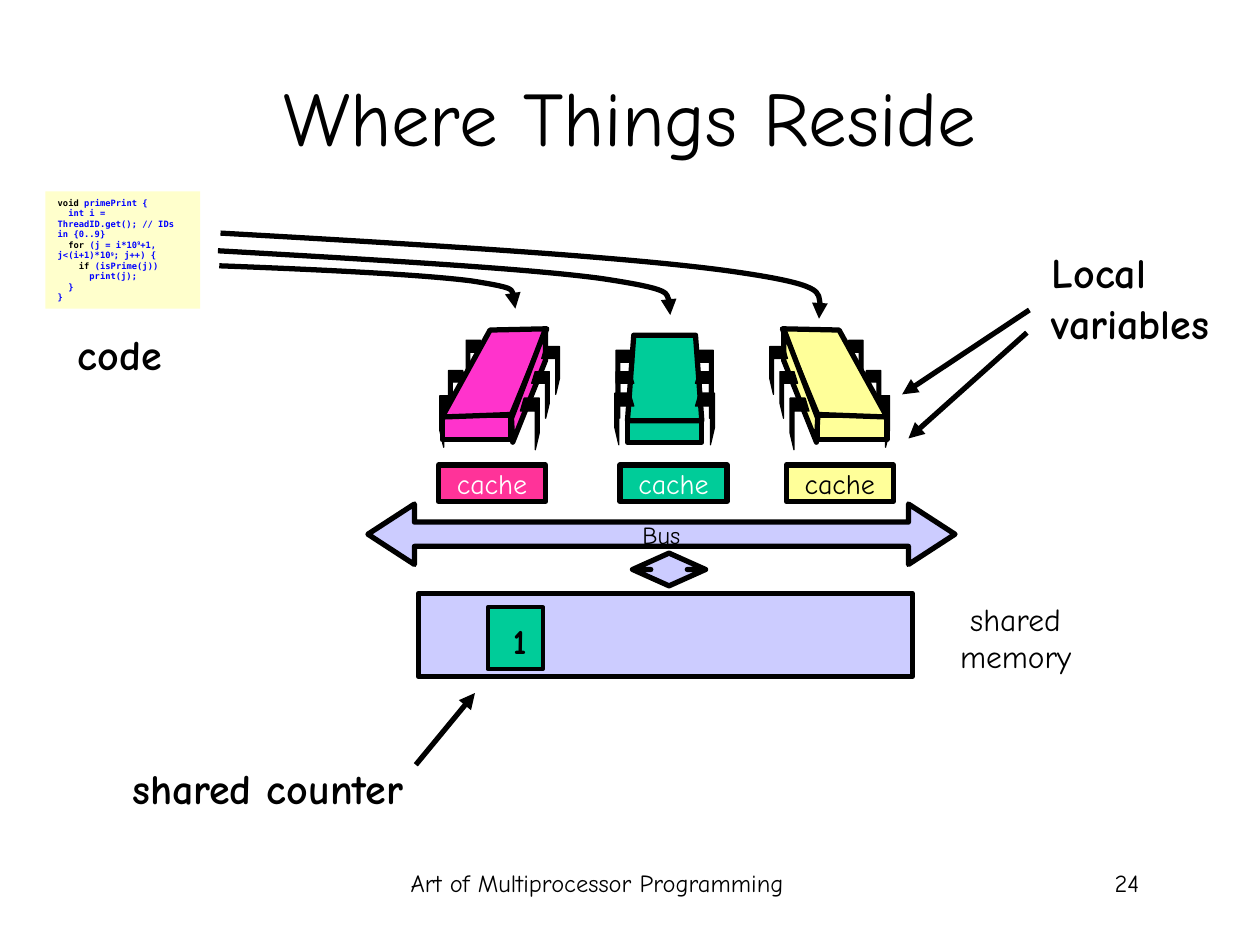
"""Build the slide "Where Things Reside": code, caches, bus and shared memory."""
from lxml.etree import SubElement
from pptx import Presentation
from pptx.dml.color import RGBColor as RGB
from pptx.enum.shapes import MSO_CONNECTOR as CONN, MSO_SHAPE as SHAPE
from pptx.enum.text import MSO_ANCHOR as ANCHOR, PP_ALIGN as ALIGN
from pptx.oxml.ns import qn
from pptx.util import Inches, Pt

THEME = {
    "font": "Comic Neue", "mono": "DejaVu Sans Mono",
    "title": 44, "label": 24, "value": 20, "memory": 18, "cache": 16, "small": 14, "code": 5,
    "black": "000000", "white": "FFFFFF", "blue": "0000FF", "paper": "FFFFCC",
    "pink": "FF33CC", "rose": "FF3399", "green": "00CC99", "yellow": "FFFF99", "lilac": "CCCCFF",
    "thick": 3, "medium": 2.25, "thin": 0.75,
}

prs = Presentation()
prs.slide_width, prs.slide_height = Inches(10), Inches(7.5)
CELL = prs.slide_width // 100
AXIS = 52.75
s = prs.slides.add_slide(prs.slide_layouts[5])


def paint(sp, fill, width):
    sp.shadow.inherit = False
    if fill:
        sp.fill.solid()
        sp.fill.fore_color.rgb = RGB.from_string(THEME[fill])
    else:
        sp.fill.background()
    if width:
        sp.line.width = Pt(THEME[width])
        sp.line.color.rgb = RGB.from_string(THEME["black"])
    else:
        sp.line.fill.background()


def write(sp, text, size, color="black", bold=False, align=ALIGN.CENTER, wrap=False):
    tf = sp.text_frame
    tf.text = text
    tf.word_wrap = wrap
    for p in tf.paragraphs:
        p.alignment = align
        for r in p.runs:
            r.font.name, r.font.size, r.font.bold = THEME["font"], Pt(THEME[size]), bold
            r.font.color.rgb = RGB.from_string(THEME[color])


title = s.shapes.title
title.left, title.top, title.width, title.height = [round(v * CELL) for v in (7.5, 2.9, 85, 12.5)]
write(title, "Where Things Reside", "title", wrap=True)
title.text_frame.vertical_anchor = ANCHOR.MIDDLE

for kind, box, fill, width, text, size, color, adjust in [
    (SHAPE.RECTANGLE, (35.1, 33, 5.4, 1.9), "pink", "thick", "", None, None, ()),
    (SHAPE.RECTANGLE, (49.8, 33.4, 5.9, 1.7), "green", "thick", "", None, None, ()),
    (SHAPE.RECTANGLE, (64.9, 33, 5.5, 1.9), "yellow", "thick", "", None, None, ()),
    (SHAPE.LEFT_RIGHT_ARROW, (29.2, 40, 46.6, 4.8), "lilac", "thick", "Bus", "small", "black", (0.4, 0.77)),
    (SHAPE.RECTANGLE, (33.2, 47.1, 39.2, 6.6), "lilac", "thick", "", None, None, ()),
    (SHAPE.UP_DOWN_ARROW, (50.2, 43.9, 5.8, 2.6), "lilac", "thick", "", None, None, (0.5, 0.34)),
    (SHAPE.RECTANGLE, (34.8, 36.9, 8.5, 2.9), "rose", "thick", "cache", "cache", "white", ()),
    (SHAPE.RECTANGLE, (49.2, 36.9, 8.5, 2.9), "green", "thick", "cache", "cache", "white", ()),
    (SHAPE.RECTANGLE, (62.4, 36.9, 8.5, 2.9), "yellow", "thick", "cache", "cache", "black", ()),
    (SHAPE.RECTANGLE, (38.7, 48.2, 4.4, 4.9), "green", "medium", "", None, None, ()),
]:
    sp = s.shapes.add_shape(kind, *[round(v * CELL) for v in box])
    paint(sp, fill, width)
    if kind == SHAPE.UP_DOWN_ARROW:
        adjust = adjust[::-1]
    for i, value in enumerate(adjust):
        sp.adjustments[i] = value
    if text:
        write(sp, text, size, color)

LEG = [(0.8, 0), (0, 0), (0, 0.67), (0.21, 1), (0.21, 0.25), (1, 0.25)]
slanted_legs = [
    (34.9, 31.4, 4.1, 1), (35.6, 29.4, 3.7, 1), (37, 27, 3.8, 1),
    (42.8, 31.6, 4.1, -1), (43.6, 29.5, 3.7, -1), (44.4, 27.5, 3.8, -1),
]
upright_legs = [
    (AXIS + side * reach, y, h, -side)
    for side in (1, -1)
    for reach, y, h in [(3.95, 31.2, 4.1), (3.85, 29.5, 3.7), (3.85, 27.8, 3.8)]
]
slanted_faces = [
    [(35.1, 33.1), (40.6, 32.9), (43.4, 26.1), (38.9, 26.2)],
    [(43.3, 26.1), (43.3, 28.6), (40.7, 35.1), (40.6, 33.2)],
]
upright_faces = [[(50.3, 26.6), (55.2, 26.6), (55.7, 33.4), (49.8, 33.4)]]

for fill, side, legs, faces, legs_behind in [
    ("green", 1, upright_legs, upright_faces, 0),
    ("pink", 1, slanted_legs, slanted_faces, 3),
    ("yellow", -1, slanted_legs, slanted_faces, 3),
]:
    outlines = [
        ([(x + way * fx * (1.5 if h > 4 else 1.4), y + fy * h) for fx, fy in LEG], "black", "thin")
        for x, y, h, way in legs
    ]
    outlines[legs_behind:legs_behind] = [(face, fill, "thick") for face in faces]
    for points, color, width in outlines:
        pts = [((AXIS + side * (x - AXIS)) * CELL, y * CELL) for x, y in points]
        fb = s.shapes.build_freeform(*pts[0])
        fb.add_line_segments(pts[1:], close=True)
        paint(fb.convert_to_shape(), color, width)

code = s.shapes.add_shape(SHAPE.RECTANGLE, *[round(v * CELL) for v in (3.6, 15.2, 12.3, 9.3)])
paint(code, "paper", None)
tf = code.text_frame
tf.word_wrap, tf.vertical_anchor = True, ANCHOR.TOP
for i, line in enumerate([
    [("void", "black", 0), (" primePrint {", "blue", 0)],
    [("  int i = ThreadID.get(); // IDs in {0..9}", "blue", 0)],
    [("  for ", "black", 0), ("(j = i*10", "blue", 0), ("9", "blue", 30000),
     ("+1, j<(i+1)*10", "blue", 0), ("9", "blue", 30000), ("; j++) {", "blue", 0)],
    [("    if ", "black", 0), ("(isPrime(j))", "blue", 0)],
    [("      print(j);", "blue", 0)],
    [("  }", "blue", 0)],
    [("}", "blue", 0)],
]):
    p = tf.add_paragraph() if i else tf.paragraphs[0]
    p.alignment = ALIGN.LEFT
    for text, color, baseline in line:
        r = p.add_run()
        r.text = text
        r.font.name, r.font.size, r.font.bold = THEME["mono"], Pt(THEME["code"]), True
        r.font.color.rgb = RGB.from_string(THEME[color])
        if baseline:
            r.font._element.set("baseline", str(baseline))

for text, box, size, bold, align in [
    ("Art of Multiprocessor Programming", (26, 68.4, 42.8, 5), "small", False, ALIGN.CENTER),
    ("24", (70.6, 68.4, 20.8, 5), "small", False, ALIGN.RIGHT),
    ("1", (39.7, 48.7, 3.1, 4.4), "value", True, ALIGN.CENTER),
    ("shared counter", (9.2, 60, 24.1, 5), "label", True, ALIGN.CENTER),
    ("shared\nmemory", (75, 47.1, 11.2, 7), "memory", False, ALIGN.CENTER),
    ("code", (4.9, 25.6, 9.2, 5), "label", True, ALIGN.CENTER),
    ("Local\nvariables", (82.5, 19.1, 14.5, 9), "label", True, ALIGN.LEFT),
]:
    sp = s.shapes.add_textbox(*[round(v * CELL) for v in box])
    write(sp, text, size, bold=bold, align=align, wrap=align != ALIGN.CENTER)

arrows = []
for points in [
    [(17.3, 19.9), (29.5, 20.6), (41.8, 21.3), (47.7, 22.1), (53.7, 23), (53.4, 24), (53.2, 25)],
    [(17.5, 18.5), (33.6, 19.4), (49.8, 20.4), (57.8, 21.5), (65.7, 22.6), (65.3, 23.9), (65, 25.3)],
    [(17.4, 21.1), (25.4, 21.4), (33.5, 21.8), (37.4, 22.3), (41.3, 22.9), (41.1, 23.7), (40.9, 24.5)],
]:
    pts = [(x * CELL, y * CELL) for x, y in points]
    fb = s.shapes.build_freeform(*pts[0])
    fb.add_line_segments(pts[1:], close=False)
    sp = fb.convert_to_shape()
    paint(sp, None, "thick")
    segments = list(sp._element.iter(qn("a:lnTo")))
    for i in range(0, len(segments), 3):
        curve = SubElement(segments[i].getparent(), qn("a:cubicBezTo"))
        for segment in segments[i:i + 3]:
            curve.append(segment[0])
            segment.getparent().remove(segment)
    arrows.append(sp)

for ends in [(33, 60.7, 37.7, 55), (81.7, 24.6, 71.6, 31.3), (81.5, 26.4, 72.1, 34.8)]:
    sp = s.shapes.add_connector(CONN.STRAIGHT, *[round(v * CELL) for v in ends])
    sp.line.width = Pt(THEME["thick"])
    sp.line.color.rgb = RGB.from_string(THEME["black"])
    SubElement(sp._element.spPr, qn("a:effectLst"))
    arrows.append(sp)

for sp in arrows:
    SubElement(sp._element.spPr.find(qn("a:ln")), qn("a:tailEnd"), type="triangle")

prs.save("out.pptx")
